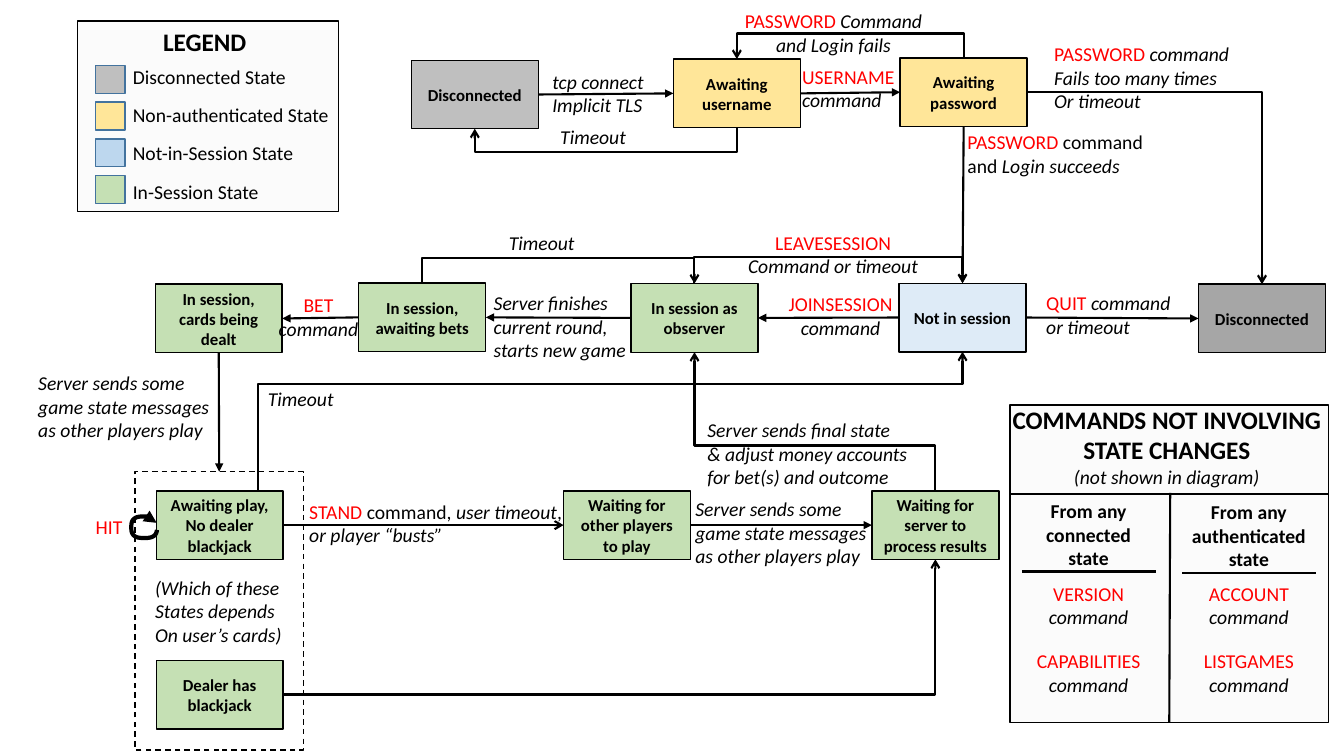
from math import cos, sin, radians, copysign
from lxml.etree import SubElement
from pptx import Presentation
from pptx.dml.color import RGBColor
from pptx.enum.dml import MSO_LINE as DASH
from pptx.enum.shapes import MSO_CONNECTOR as CONN, MSO_SHAPE as SHAPE
from pptx.enum.text import MSO_ANCHOR as ANCHOR, MSO_AUTO_SIZE as AUTO, PP_ALIGN as ALIGN
from pptx.oxml.ns import qn
from pptx.util import Pt

GREY, YELLOW, GREEN, PANEL = "BFBFBF", "FFE699", "C5E0B4", "FBFBFB"
TOP, LEFT, BOTTOM, RIGHT = range(4)
STATE_W, STATE_H = 90.7, 49
STYLES = {
    "plain": dict(size=Pt(14)),
    "italic": dict(size=Pt(14), italic=True),
    "bold": dict(size=Pt(14), bold=True),
    "state": dict(size=Pt(12), bold=True),
    "title": dict(size=Pt(18), bold=True),
    "red": dict(size=Pt(14)),
}


def rgb(value):
    return RGBColor.from_string(value)


def write(tf, lines, align):
    for i, line in enumerate(lines):
        p = tf.paragraphs[0] if i == 0 else tf.add_paragraph()
        p.alignment = align
        for style, text in line:
            r = p.add_run()
            r.text = text
            r.font.name = "Calibri"
            r.font.color.rgb = rgb("FF0000" if style == "red" else "000000")
            for name, value in STYLES[style].items():
                setattr(r.font, name, value)


def styled(style, *texts):
    return [[(style, text)] for text in texts]


def command(name, *rest):
    return [[("red", name)], *styled("italic", *(rest or ("command",)))]


def label(shapes, x, y, w, h, lines, align=ALIGN.LEFT):
    s = shapes.add_textbox(Pt(x), Pt(y), Pt(w), Pt(h))
    s.text_frame.word_wrap = False
    s.text_frame.auto_size = AUTO.SHAPE_TO_FIT_TEXT
    write(s.text_frame, lines, align)


def box(shapes, x, y, w, h, fill=None, line="000000"):
    s = shapes.add_shape(SHAPE.RECTANGLE, Pt(x), Pt(y), Pt(w), Pt(h))
    s.shadow.inherit = False
    if fill:
        s.fill.solid()
        s.fill.fore_color.rgb = rgb(fill)
    else:
        s.fill.background()
    s.line.color.rgb = rgb(line)
    s.line.width = Pt(1)
    return s


def state(shapes, x, y, fill, *texts):
    s = box(shapes, x, y, STATE_W, STATE_H, fill)
    s.text_frame.word_wrap = True
    s.text_frame.vertical_anchor = ANCHOR.MIDDLE
    write(s.text_frame, styled("state", *texts), ALIGN.CENTER)
    return s


def ink(s, width, head=None):
    s.line.color.rgb = rgb("000000")
    s.line.width = Pt(width)
    if head:
        SubElement(s.line._get_or_add_ln(), qn("a:tailEnd"), type=head)


def rule(shapes, x1, y1, x2, y2, kind=CONN.STRAIGHT, head=None):
    s = shapes.add_connector(kind, Pt(x1), Pt(y1), Pt(x2), Pt(y2))
    SubElement(s.element.spPr, qn("a:effectLst"))
    ink(s, 1.5, head)
    return s


def arrow(shapes, start, end, kind=CONN.STRAIGHT, head="triangle"):
    begin = start if isinstance(start[0], (int, float)) else (0, 0)
    s = rule(shapes, *begin, 0, 0, kind, head)
    if begin != start:
        s.begin_connect(*start)
    s.end_connect(*end)
    return s


def set_frame(s, rot, flip_h, flip_v):
    xfrm = s.element.spPr.find(qn("a:xfrm"))
    values = dict(rot=rot * 60000, flipH=int(flip_h), flipV=int(flip_v))
    for name, value in values.items():
        xfrm.set(name, str(value))


def corner(shapes, start, end):
    s = arrow(shapes, start, end, CONN.ELBOW, "arrow")
    geom = s.element.spPr.find(qn("a:prstGeom"))
    geom.set("prst", "bentConnector2")


def detour(shapes, start, end, rail, rot):
    s = arrow(shapes, start, end, CONN.ELBOW, "arrow")
    x1, y1, x2, y2 = s.begin_x, s.begin_y, s.end_x, s.end_y
    dx, dy = x2 - x1, y2 - y1
    w, h = abs(dy), abs(dx)
    frame = dict(left=(x1 + x2 - w) // 2, top=(y1 + y2 - h) // 2, width=w, height=h)
    for name, value in frame.items():
        setattr(s, name, value)
    down = rot == 90
    set_frame(s, rot, (dy < 0) == down, (dx > 0) == down)
    geom = s.element.spPr.find(qn("a:prstGeom"))
    guides = geom.find(qn("a:avLst"))
    if guides is None:
        guides = SubElement(geom, qn("a:avLst"))
    ratio = round((Pt(rail) - y1) / dy * 100000)
    SubElement(guides, qn("a:gd"), name="adj1", fmla=f"val {ratio}")


def loop(shapes, cx, cy, rx, ry):
    def bulge(v):
        return copysign(abs(v) ** 0.7, v)

    points = [(Pt(cx + rx * bulge(cos(radians(a)))), Pt(cy + ry * bulge(sin(radians(a)))))
              for a in range(8, 346, 8)]
    builder = shapes.build_freeform(*points[0])
    builder.add_line_segments(points[1:], close=False)
    s = builder.convert_to_shape()
    s.shadow.inherit = False
    s.fill.background()
    ink(s, 3, "triangle")


def legend(shapes):
    box(shapes, 55.4, 15.1, 186.5, 136.1, PANEL)
    label(shapes, 109.4, 15.1, 74.2, 28.8, styled("title", "LEGEND"))
    rows = [("Disconnected", GREY, 126.7), ("Non-authenticated", YELLOW, 158.4),
            ("Not-in-Session", "BDD7EE", 130.3), ("In-Session", GREEN, 105.1)]
    for i, (name, fill, w) in enumerate(rows):
        box(shapes, 68.4, 46.8 + 26.2 * i, 20.9, 19.8, fill, "43739E")
        label(shapes, 87.8, 42.5 + 27.4 * i, w, 24.5, styled("plain", f"{name} State"))


def other_commands(shapes):
    box(shapes, 721.4, 289.4, 227.5, 226.8, PANEL)
    title = styled("title", "COMMANDS NOT INVOLVING", "STATE CHANGES")
    label(shapes, 715, 285.1, 236.9, 67.7,
          title + styled("italic", "(not shown in diagram)"), ALIGN.CENTER)
    rule(shapes, 721.4, 352.8, 949, 352.8)
    rule(shapes, 835.2, 516.2, 835.9, 352.1)
    columns = [(777.6, 730, "connected", ("VERSION", "CAPABILITIES")),
               (892.1, 844.5, "authenticated", ("ACCOUNT", "LISTGAMES"))]
    for i, (cx, x, kind, names) in enumerate(columns):
        label(shapes, cx - 50, 352.8 + i, 100, 58.3,
              styled("bold", "From any", kind, "state"), ALIGN.CENTER)
        rule(shapes, x, 408.2 + i, x + 95.4, 408.2 + i)
        for j, name in enumerate(names):
            label(shapes, cx - 45, 411.8 + 48.3 * j, 90, 41, command(name), ALIGN.CENTER)


def main():
    prs = Presentation()
    prs.slide_width, prs.slide_height = Pt(960), Pt(540)
    shapes = prs.slides.add_slide(prs.slide_layouts[6]).shapes

    offline = state(shapes, 293.8, 43, GREY, "Disconnected")
    username = state(shapes, 481, 42.2, YELLOW, "Awaiting username")
    password = state(shapes, 643, 41.4, YELLOW, "Awaiting password")
    lobby = state(shapes, 642.2, 202.3, "DEEBF7", "Not in session")
    bets = state(shapes, 256.3, 202.2, GREEN, "In session, awaiting bets")
    dealt = state(shapes, 110.9, 203, GREEN, "In session, cards being dealt")
    observer = state(shapes, 450.7, 202.6, GREEN, "In session as observer")
    closed = state(shapes, 856.1, 203, "A6A6A6", "Disconnected")
    hand = box(shapes, 96.5, 337, 120.2, 198.7)
    hand.line.dash_style = DASH.DASH
    play = state(shapes, 111.6, 350.6, GREEN, "Awaiting play,", "No dealer blackjack")
    dealer = state(shapes, 111.6, 471.6, GREEN, "Dealer has blackjack")
    others = state(shapes, 402.5, 350.6, GREEN, "Waiting for other players to play")
    results = state(shapes, 622.8, 350.6, GREEN, "Waiting for server to process results")

    for a, b in [(offline, username), (username, password), (lobby, closed), (others, results)]:
        arrow(shapes, (a, RIGHT), (b, LEFT))
    for a, b in [(lobby, observer), (observer, bets), (bets, dealt)]:
        arrow(shapes, (a, LEFT), (b, RIGHT))
    for a, b in [(password, lobby), (dealt, hand)]:
        arrow(shapes, (a, BOTTOM), (b, TOP))
    arrow(shapes, (play, RIGHT), (others, LEFT), head="arrow")
    corner(shapes, (password, RIGHT), (closed, TOP))
    corner(shapes, (dealer, RIGHT), (results, BOTTOM))
    detour(shapes, (password, TOP), (username, TOP), 23.8, 270)
    detour(shapes, (username, BOTTOM), (offline, BOTTOM), 109, 90)
    detour(shapes, (observer, TOP), (lobby, TOP), 184.3, 90)
    detour(shapes, (bets, TOP), (observer, TOP), 184.3, 270)
    detour(shapes, (results, TOP), (observer, BOTTOM), 318.2, 270)
    detour(shapes, (184.3, 351.4), (lobby, BOTTOM), 274.3, 90)
    loop(shapes, 103, 376.6, 9.2, 7.7)

    relay = styled("italic", "Server sends some", "game state messages", "as other players play")
    timeout = styled("italic", "Timeout")
    red_password = ("red", "PASSWORD ")
    left_labels = [
        (387.4, 46.1, 80.6, 41, styled("italic", "tcp connect", "Implicit TLS")),
        (565.9, 42.5, 81.4, 41, command("USERNAME")),
        (684, 89.3, 144, 41, [[red_password, ("plain", "command")],
                              [("plain", "and "), ("italic", "Login succeeds")]]),
        (745.9, 26.6, 144, 58.3, [[red_password, ("italic", "command")],
                                  *styled("italic", "Fails too many times", "Or timeout")]),
        (740.2, 204.5, 104.4, 41, [[("red", "QUIT "), ("italic", "command")],
                                   [("italic", "or timeout")]]),
        (345.6, 204.5, 110.2, 58.3,
         styled("italic", "Server finishes", "current round,", "starts new game")),
        (20.2, 261.4, 138.2, 58.3, relay),
        (489.6, 351.4, 138.2, 58.3, relay),
        (103.7, 407.5, 105.8, 58.3,
         styled("italic", "(Which of these", "States depends", "On user’s cards)")),
        (498.2, 295.2, 159.1, 58.3, styled("italic", "Server sends final state",
                                           "& adjust money accounts", "for bet(s) and outcome")),
        (213.8, 353.5, 198, 41, [[("red", "STAND "), ("plain", "command, "),
                                  ("italic", "user timeout"), ("plain", ",")],
                                 [("italic", "or player “busts”")]]),
        (61.2, 364.3, 39.6, 24.5, [[("red", "HIT")]]),
        (356.4, 161.3, 61.9, 24.5, timeout),
        (393.1, 85.7, 61.9, 24.5, timeout),
        (184.3, 272.9, 61.9, 24.5, timeout),
    ]
    for spot in left_labels:
        label(shapes, *spot)
    centred_labels = [
        (522.7, 2.9, 145.4, 41, [[red_password, ("italic", "Command")],
                                 [("italic", "and Login fails")]]),
        (526.3, 161.3, 137.5, 41, command("LEAVESESSION", "Command or timeout")),
        (555.8, 205.2, 89.3, 41, command("JOINSESSION")),
        (191.5, 205.9, 72, 41, command("BET")),
    ]
    for spot in centred_labels:
        label(shapes, *spot, ALIGN.CENTER)

    legend(shapes.add_group_shape().shapes)
    other_commands(shapes.add_group_shape().shapes)
    prs.save("out.pptx")


if __name__ == "__main__":
    main()
